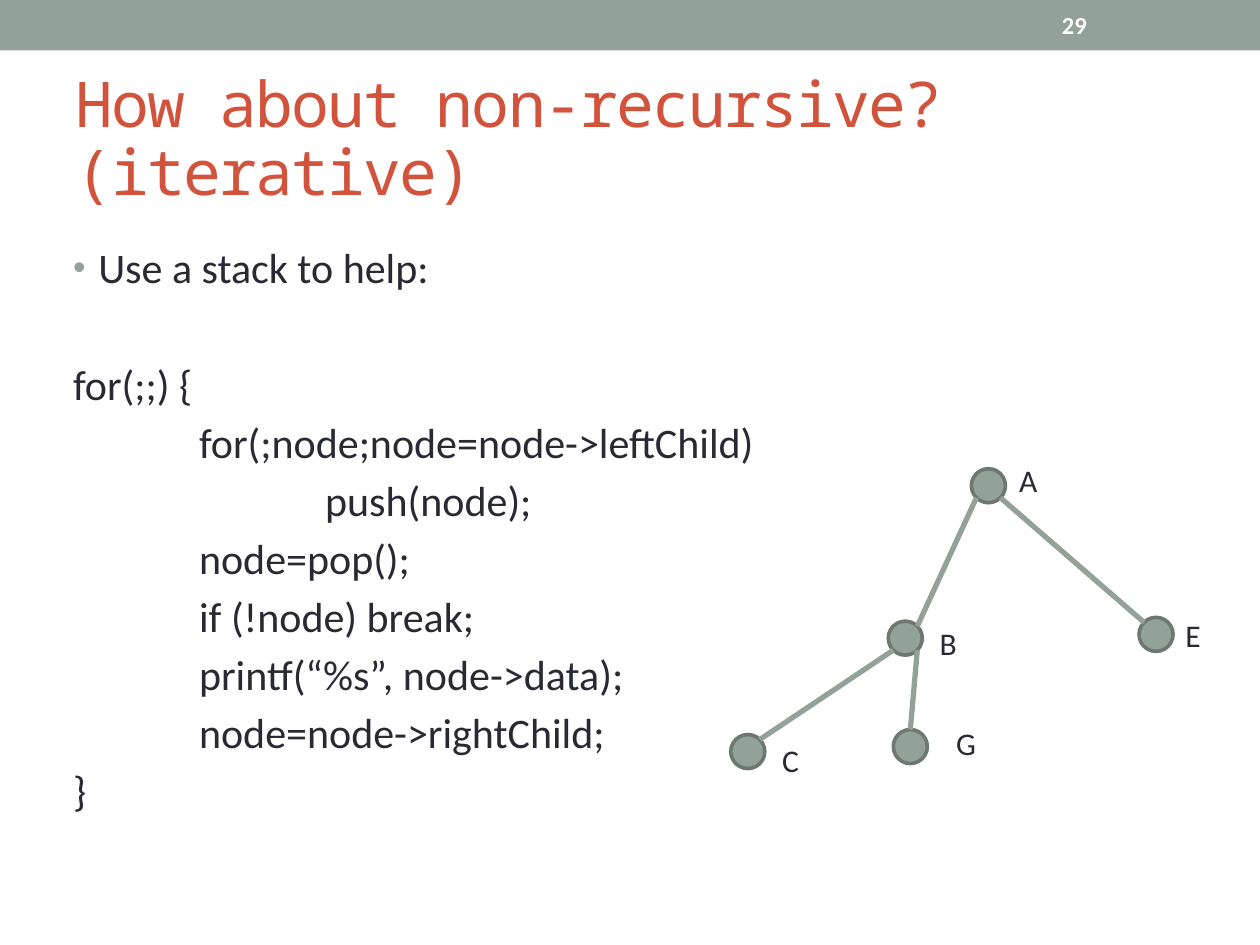
import math

import pptx
import pptx.dml.color
import pptx.enum.shapes
import pptx.enum.text
import pptx.oxml.ns
import pptx.util
from lxml import etree

Inches = pptx.util.Inches
Pt = pptx.util.Pt
Anchor = pptx.enum.text.MSO_ANCHOR
AutoShape = pptx.enum.shapes.MSO_SHAPE

SAGE, DARK_SAGE, RED, INK, WHITE = "93A299", "6D7871", "D2533C", "292934", "FFFFFF"

TITLE = "How about non-recursive? (iterative)"
PAGE_NUMBER = "29"
LEAD = "Use a stack to help:"
# (indent depth, code)
CODE = [
    (0, "for(;;) {"),
    (1, "for(;node;node=node->leftChild)"),
    (2, "push(node);"),
    (1, "node=pop();"),
    (1, "if (!node) break;"),
    (1, "printf(“%s”, node->data);"),
    (1, "node=node->rightChild;"),
    (0, "}"),
]
LINE_GAP = 4.3
BLANK_LINE = 33.6

NODE_SIZE = 0.27
# name: (node left, node top, label left, label top, label width)
NODES = {
    "A": (7.71, 3.72, 7.99, 3.61, 0.36),
    "B": (7.05, 4.93, 7.36, 4.9, 0.35),
    "E": (9.04, 4.9, 9.31, 4.84, 0.34),
    "C": (5.8, 5.83, 6.11, 5.83, 0.35),
    "G": (7.09, 5.79, 7.49, 5.7, 0.37),
}
# parent, angle where the edge leaves it, child, angle where it arrives
# (degrees clockwise from the right)
EDGES = [
    ("A", 135, "B", -45),
    ("B", 135, "C", -45),
    ("A", 45, "E", -135),
    ("B", 45, "G", -90),
]


def rgb(value):
    return pptx.dml.color.RGBColor.from_string(value)


def add_child(parent, tag, **attributes):
    child = etree.SubElement(parent, pptx.oxml.ns.qn(tag))
    for name, value in attributes.items():
        child.set(name, value)
    return child


def write(paragraph, text, size=24, color=INK, font="Calibri", bold=False, spacing=None):
    run = paragraph.add_run()
    run.text = text
    run.font.size = Pt(size)
    run.font.name = font
    run.font.bold = bold
    run.font.color.rgb = rgb(color)
    if spacing is not None:
        run.font._element.set("spc", str(int(spacing * 100)))


def place(shape, left, top, width, height):
    shape.left, shape.top = Inches(left), Inches(top)
    shape.width, shape.height = Inches(width), Inches(height)


def indent(paragraph, margin, bullet=None):
    properties = paragraph._p.get_or_add_pPr()
    properties.set("marL", str(Inches(margin)))
    properties.set("indent", str(Inches(-margin if bullet else 0)))
    if bullet:
        add_child(add_child(properties, "a:buClr"), "a:srgbClr", val=SAGE)
        add_child(properties, "a:buSzPct", val="85000")
        add_child(properties, "a:buFont", typeface="Arial")
        add_child(properties, "a:buChar", char=bullet)
    else:
        add_child(properties, "a:buNone")


def add_filled_shape(slide, kind, left, top, width, height, line=None):
    shape = slide.shapes.add_shape(
        kind, Inches(left), Inches(top), Inches(width), Inches(height))
    shape.shadow.inherit = False
    shape.fill.solid()
    shape.fill.fore_color.rgb = rgb(SAGE)
    if line:
        shape.line.color.rgb = rgb(line)
        shape.line.width = Pt(2.08)
    else:
        shape.line.fill.background()


def add_label(slide, text, left, top, width, height, wrap=False, anchor=Anchor.TOP, **style):
    box = slide.shapes.add_textbox(
        Inches(left), Inches(top), Inches(width), Inches(height))
    box.text_frame.word_wrap = wrap
    box.text_frame.vertical_anchor = anchor
    write(box.text_frame.paragraphs[0], text, **style)


def rim_point(name, angle):
    """Point on the outline of a node, in inches."""
    left, top = NODES[name][:2]
    radius = NODE_SIZE / 2
    turn = math.radians(angle)
    return (Inches(left + radius + radius * math.cos(turn)),
            Inches(top + radius + radius * math.sin(turn)))


def fill_title(shape):
    place(shape, 0.5, 0.58, 9, 1.08)
    frame = shape.text_frame
    frame.auto_size = pptx.enum.text.MSO_AUTO_SIZE.NONE
    frame.vertical_anchor = Anchor.MIDDLE
    paragraph = frame.paragraphs[0]
    paragraph.alignment = pptx.enum.text.PP_ALIGN.LEFT
    paragraph.line_spacing = 0.9
    write(paragraph, TITLE, size=36, color=RED, font="Noto Sans Mono", spacing=-1)


def fill_body(shape):
    place(shape, 0.48, 1.87, 9, 5.33)
    frame = shape.text_frame
    frame.auto_size = pptx.enum.text.MSO_AUTO_SIZE.NONE
    lead = frame.paragraphs[0]
    lead.space_before = Pt(LINE_GAP)
    indent(lead, 0.2, bullet="•")
    write(lead, LEAD)
    for number, (depth, code) in enumerate(CODE):
        paragraph = frame.add_paragraph()
        paragraph.space_before = Pt(LINE_GAP + (BLANK_LINE if number == 0 else 0))
        indent(paragraph, depth)
        write(paragraph, code)


def draw_tree(slide):
    for name, (left, top, label_left, label_top, label_width) in NODES.items():
        add_filled_shape(slide, AutoShape.OVAL, left, top, NODE_SIZE, NODE_SIZE, DARK_SAGE)
        add_label(slide, name, label_left, label_top, label_width, 0.4, size=18)
    for parent, leave, child, arrive in EDGES:
        edge = slide.shapes.add_connector(
            pptx.enum.shapes.MSO_CONNECTOR.STRAIGHT,
            *rim_point(parent, leave), *rim_point(child, arrive))
        edge.line.color.rgb = rgb(SAGE)
        edge.line.width = Pt(3)
        add_child(edge._element.spPr, "a:effectLst")


def main():
    presentation = pptx.Presentation()
    presentation.slide_width, presentation.slide_height = Inches(10), Inches(7.5)
    slide = presentation.slides.add_slide(presentation.slide_layouts[1])
    add_filled_shape(slide, AutoShape.RECTANGLE, 0, 0, 10, 0.4)
    fill_title(slide.shapes.title)
    fill_body(slide.placeholders[1])
    add_label(slide, PAGE_NUMBER, 8.33, 0.02, 1.17, 0.36, wrap=True,
              anchor=Anchor.MIDDLE, size=14, color=WHITE, bold=True)
    draw_tree(slide)
    presentation.save("out.pptx")


if __name__ == "__main__":
    main()
